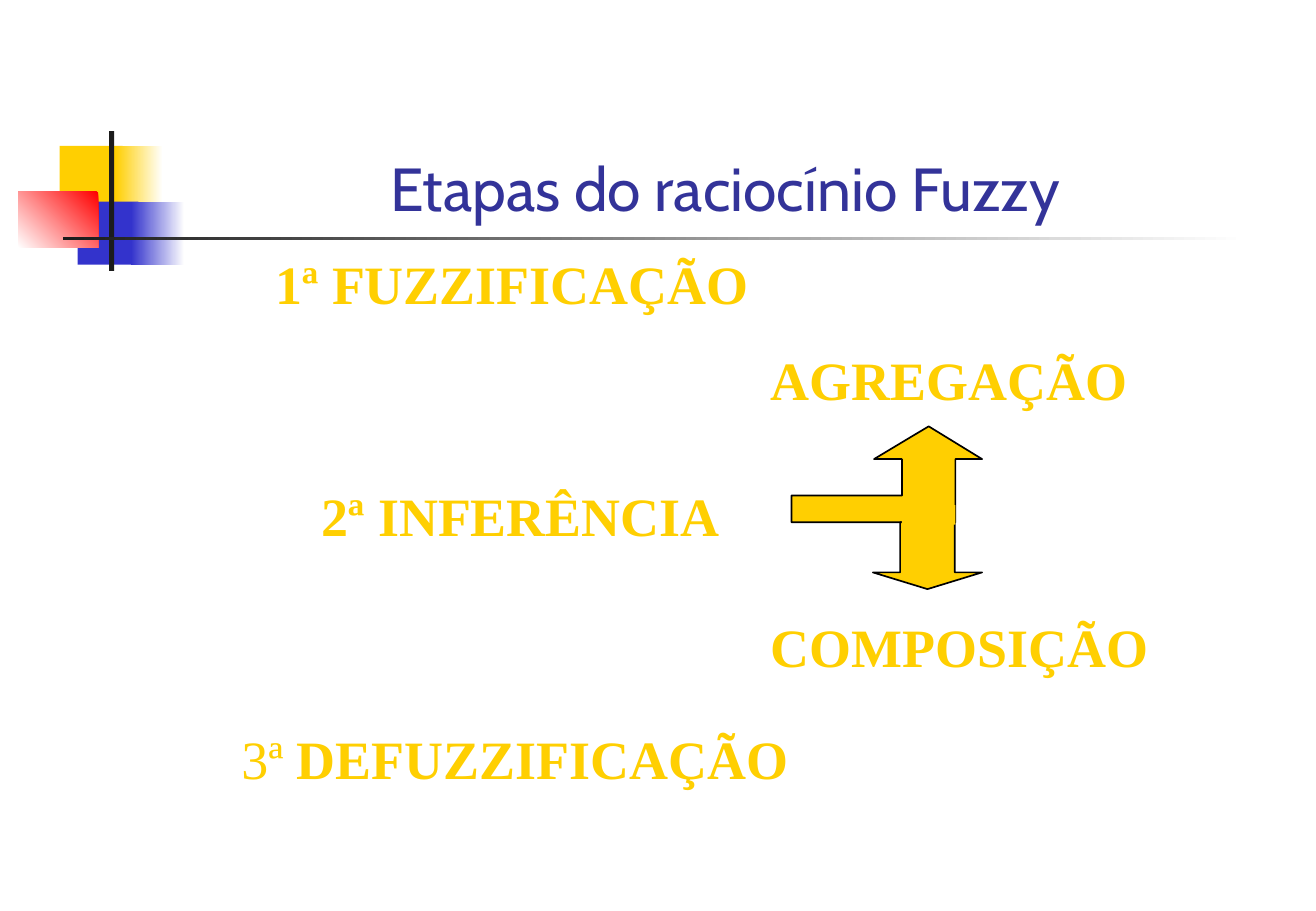
import pptx
import pptx.util
import pptx.dml.color
import pptx.enum.shapes
import pptx.enum.text
from dataclasses import dataclass

Inches = pptx.util.Inches
Pt = pptx.util.Pt
Shape = pptx.enum.shapes.MSO_SHAPE
Align = pptx.enum.text.PP_ALIGN
Anchor = pptx.enum.text.MSO_ANCHOR


@dataclass(frozen=True)
class Theme:
    gold: str = "FFCF01"
    blue: str = "3333CC"
    navy: str = "333399"
    red: str = "FF0000"
    dark: str = "1C1C1C"
    black: str = "000000"
    white: str = "FFFFFF"
    head: str = "Cabin"
    body: str = "Times New Roman"
    title: int = 36
    step: int = 32


THEME = Theme()


def rgb(code):
    return pptx.dml.color.RGBColor.from_string(code)


def paint(shape, color, edge=None):
    shape.shadow.inherit = False
    shape.fill.solid()
    shape.fill.fore_color.rgb = rgb(color)
    if edge:
        shape.line.color.rgb = rgb(edge)
        shape.line.width = Pt(1)
    else:
        shape.line.fill.background()
    return shape


def add_block(slide, box, color, kind=Shape.RECTANGLE, edge=None):
    shape = slide.shapes.add_shape(kind, *map(Inches, box))
    return paint(shape, color, edge)


def add_fade(slide, box, start, end, angle=180):
    fill = add_block(slide, box, start).fill
    fill.gradient()
    fill.gradient_angle = angle
    for stop, color in zip(fill.gradient_stops, (start, end)):
        stop.color.rgb = rgb(color)


def add_text(slide, box, parts, font, size, color, align=Align.LEFT, anchor=Anchor.TOP):
    frame = slide.shapes.add_textbox(*map(Inches, box)).text_frame
    frame.word_wrap = True
    frame.vertical_anchor = anchor
    para = frame.paragraphs[0]
    para.alignment = align
    for text, bold in parts:
        run = para.add_run()
        run.text = text
        run.font.name = font
        run.font.size = Pt(size)
        run.font.bold = bold
        run.font.color.rgb = rgb(color)


def add_motif(slide):
    add_block(slide, (0.49, 1.2, 0.52, 0.52), THEME.gold)
    add_fade(slide, (0.95, 1.2, 0.39, 0.52), THEME.white, THEME.gold)
    add_block(slide, (0.64, 1.66, 0.5, 0.52), THEME.blue)
    add_fade(slide, (1.08, 1.66, 0.44, 0.52), THEME.white, THEME.blue)
    add_fade(slide, (0.15, 1.58, 0.66, 0.46), THEME.red, THEME.white, 225)
    add_block(slide, (0.9, 1.08, 0.04, 1.15), THEME.dark)
    add_fade(slide, (0.52, 1.95, 9.75, 0.03), THEME.white, THEME.dark)


def add_fork(slide):
    points = [(6.52, 4.08), (7.43, 4.08), (7.43, 3.78), (7.2, 3.78), (7.65, 3.51),
              (8.09, 3.78), (7.87, 3.78), (7.87, 4.3), (6.52, 4.3)]
    start, *rest = [(Inches(x), Inches(y)) for x, y in points]
    outline = slide.shapes.build_freeform(*start)
    outline.add_line_segments(rest, close=True)
    paint(outline.convert_to_shape(), THEME.gold, THEME.black)
    arrow = add_block(slide, (7.19, 4.3, 0.9, 0.55), THEME.gold, Shape.DOWN_ARROW, THEME.black)
    arrow.adjustments[0] = 0.5
    arrow.adjustments[1] = 0.25
    add_block(slide, (7.43, 4.16, 0.44, 0.16), THEME.gold)


def main():
    deck = pptx.Presentation()
    deck.slide_width = Inches(10.84)
    deck.slide_height = Inches(7.5)
    slide = deck.slides.add_slide(deck.slide_layouts[6])
    add_motif(slide)
    steps = [
        (2.17, 2.01, 4.69, [("1ª FUZZIFICAÇÃO", True)]),
        (2.55, 3.92, 4.06, [("2ª INFERÊNCIA", True)]),
        (6.25, 2.8, 4.06, [("AGREGAÇÃO", True)]),
        (1.89, 5.92, 5.24, [("3ª ", False), ("DEFUZZIFICAÇÃO", True)]),
        (6.25, 5, 4.06, [("COMPOSIÇÃO", True)]),
    ]
    for left, top, width, parts in steps:
        add_text(slide, (left, top, width, 0.64), parts, THEME.body, THEME.step, THEME.gold)
    add_fork(slide)
    add_text(slide, (1.36, 0.29, 9.23, 1.6), [("Etapas do raciocínio Fuzzy", False)],
             THEME.head, THEME.title, THEME.navy, Align.CENTER, Anchor.BOTTOM)
    deck.save("out.pptx")


if __name__ == "__main__":
    main()
